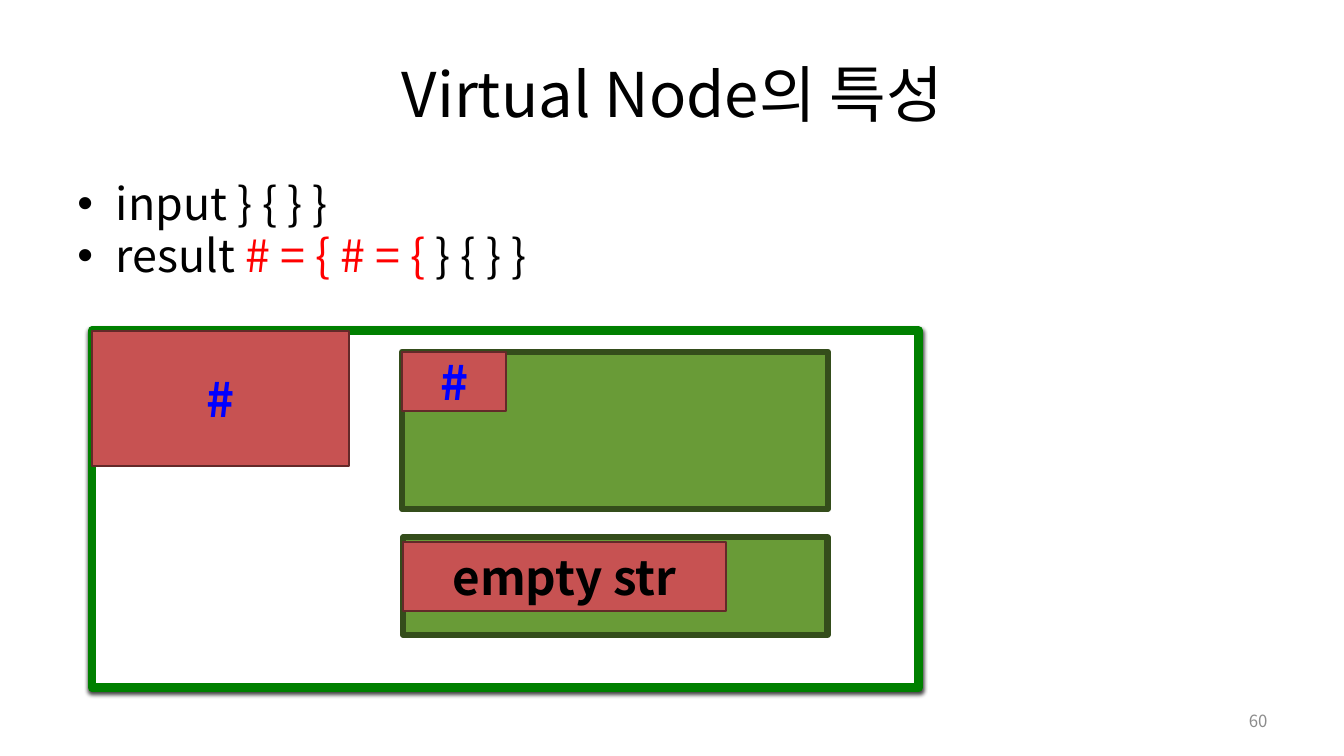
"""Build the slide on the traits of a virtual node."""
import pptx
import pptx.util
import pptx.dml.color
import pptx.enum.shapes
import pptx.enum.text
import pptx.oxml
import pptx.oxml.ns

WIDE, HIGH = 13.33, 7.5
FACE = "Noto Sans CJK KR"
RED, GREEN = ("C75252", "632929", 1.5), ("699B37", "344D1B", 4.5)
ALIGN = pptx.enum.text.PP_ALIGN
ANCHOR = pptx.enum.text.MSO_ANCHOR


def color(code):
    return pptx.dml.color.RGBColor.from_string(code)


def place(left, top, width, height):
    sides = zip((left, top, width, height), (WIDE, HIGH) * 2)
    return [pptx.util.Inches(share * side / 100) for share, side in sides]


def attach(owner, tag, **attrs):
    node = pptx.oxml.parse_xml(f"<a:{tag} {pptx.oxml.ns.nsdecls('a')}/>")
    for key, value in attrs.items():
        node.set(key, str(value))
    owner.append(node)
    return node


def write(para, text, size=32, ink="000000", bold=False):
    run = para.add_run()
    run.text = text
    font = run.font
    font.size, font.bold, font.name = pptx.util.Pt(size), bold, FACE
    font.color.rgb = color(ink)
    attach(run._r.get_or_add_rPr(), "ea", typeface=FACE)


def label(shape, text, align=ALIGN.CENTER, **form):
    frame = shape.text_frame
    frame.word_wrap = True
    frame.vertical_anchor = ANCHOR.MIDDLE
    para = frame.paragraphs[0]
    para.alignment = align
    write(para, text, **form)


def block(slide, spot, look, text="", **form):
    kind = pptx.enum.shapes.MSO_SHAPE.RECTANGLE
    shape = slide.shapes.add_shape(kind, *place(*spot))
    shape.shadow.inherit = False
    fill, edge, width = look
    shape.fill.solid()
    shape.fill.fore_color.rgb = color(fill)
    shape.line.color.rgb = color(edge)
    shape.line.width = pptx.util.Pt(width)
    if text:
        label(shape, text, size=34, bold=True, **form)
    return shape


def shade(shape):
    effects = shape._element.spPr.find(pptx.oxml.ns.qn("a:effectLst"))
    cast = attach(effects, "outerShdw", blurRad=pptx.util.Pt(3),
                  dist=pptx.util.Pt(2), dir=90 * 60000, rotWithShape=0)
    attach(attach(cast, "srgbClr", val="000000"), "alpha", val=75000)


def bullets(slide, spot, items):
    frame = slide.shapes.add_textbox(*place(*spot)).text_frame
    frame.word_wrap = True
    for index, runs in enumerate(items):
        para = frame.add_paragraph() if index else frame.paragraphs[0]
        props = para._p.get_or_add_pPr()
        hang = pptx.util.Inches(0.38)
        props.set("marL", str(hang))
        props.set("indent", str(-hang))
        attach(props, "buFont", typeface="Arial")
        attach(props, "buChar", char="•")
        para.line_spacing = 0.9
        if index:
            para.space_before = pptx.util.Pt(2.6)
        for text, ink in runs:
            write(para, text, ink=ink)


def main():
    deck = pptx.Presentation()
    deck.slide_width, deck.slide_height = place(0, 0, 100, 100)[2:]
    slide = deck.slides.add_slide(deck.slide_layouts[6])
    shade(block(slide, (6.83, 43.73, 61.52, 47.2), ("FFFFFF", "008000", 6)))
    block(slide, (6.83, 43.73, 19.13, 17.87), RED, "#", ink="0000FF")
    block(slide, (29.93, 46.53, 31.66, 20.8), GREEN)
    block(slide, (29.93, 46.53, 7.73, 7.87), RED, "#", ink="0000FF")
    block(slide, (30, 71.07, 31.58, 12.93), GREEN)
    block(slide, (30, 71.73, 24, 9.07), RED, "empty str")
    title = slide.shapes.add_textbox(*place(5.03, 4, 90, 16.67))
    label(title, "Virtual Node의 특성", size=44)
    page = slide.shapes.add_textbox(*place(71.72, 92.67, 23.33, 5.33))
    label(page, "60", align=ALIGN.RIGHT, size=12, ink="8C8C8C")
    bullets(slide, (5.03, 23.33, 90, 18.27), [
        [("input } { } }", "000000")],
        [("result", "000000"), (" # = { # = { ", "FF0000"),
         ("} { } }", "000000")],
    ])
    deck.save("out.pptx")


if __name__ == "__main__":
    main()
